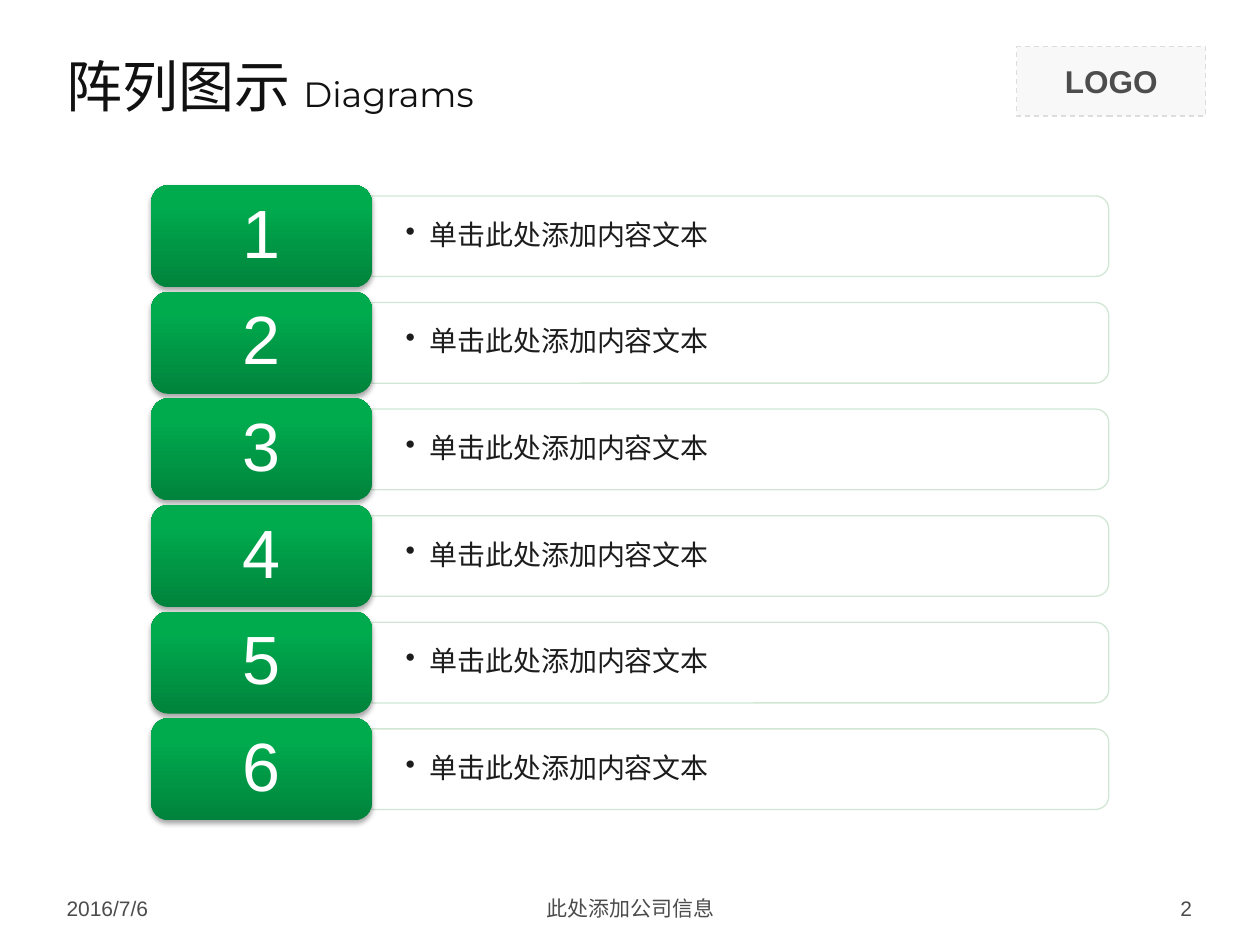
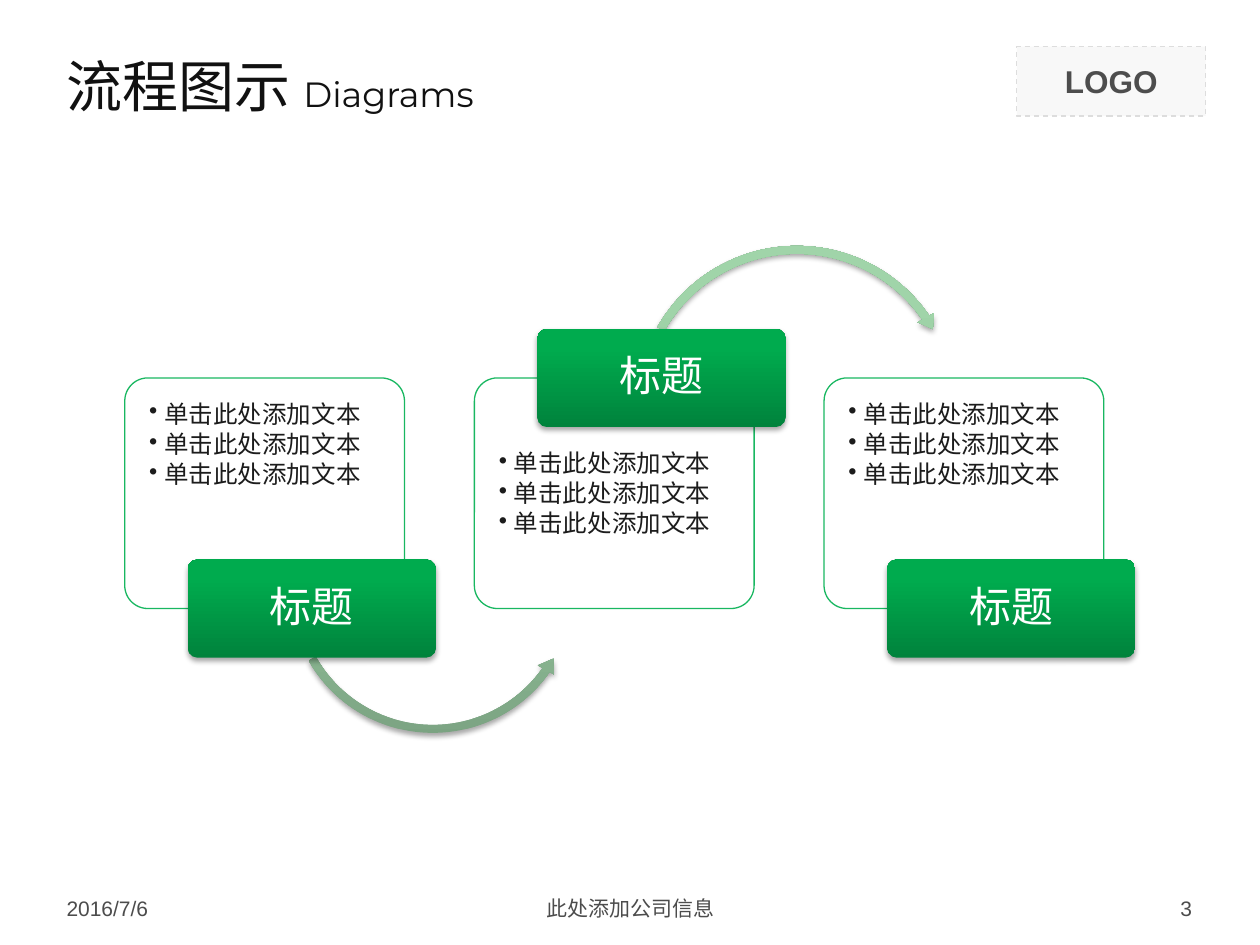
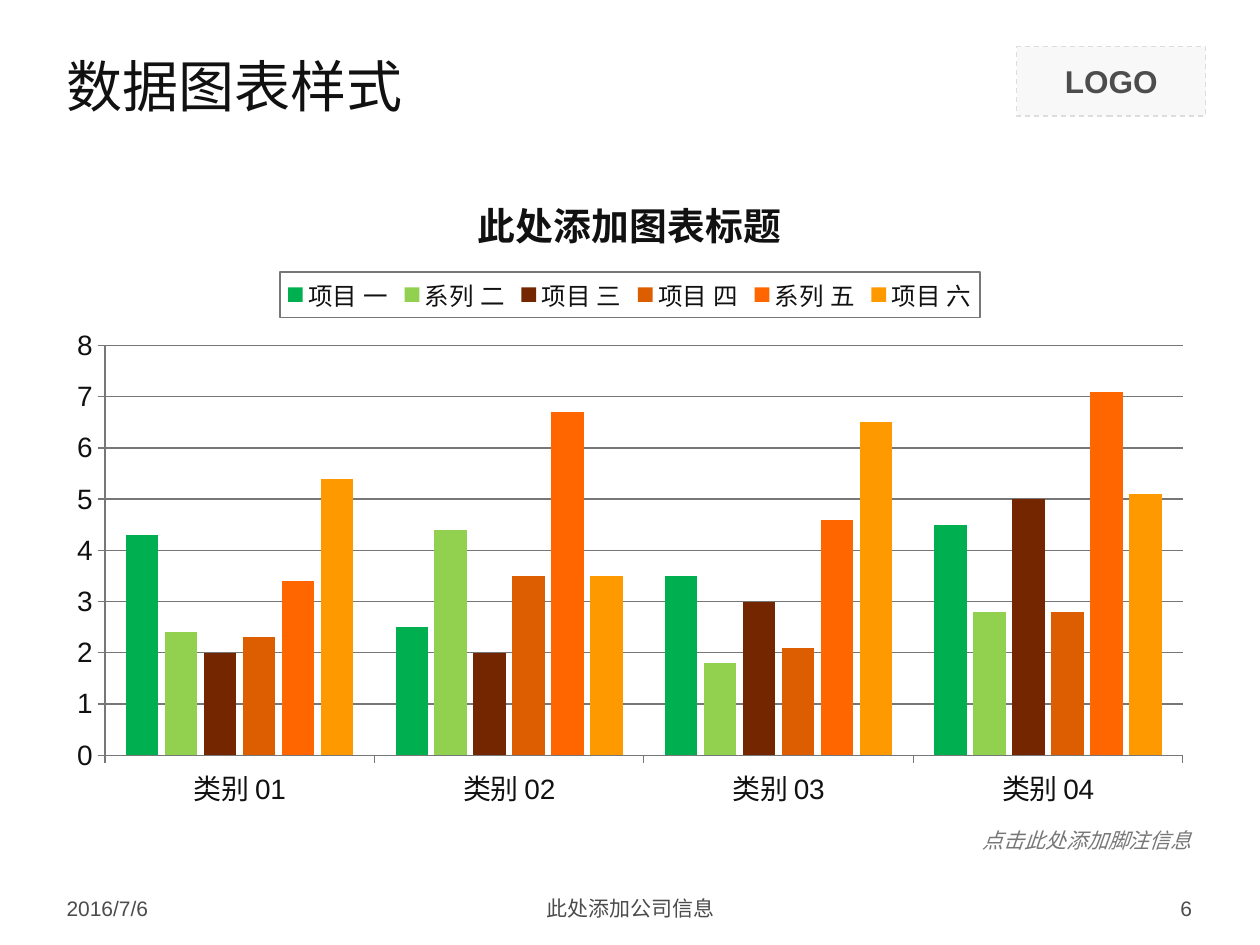
from lxml.etree import SubElement
from pptx import Presentation
from pptx.chart.data import CategoryChartData
from pptx.dml.color import RGBColor
from pptx.enum.chart import XL_CHART_TYPE, XL_LEGEND_POSITION, XL_TICK_MARK
from pptx.enum.dml import MSO_LINE
from pptx.enum.shapes import MSO_SHAPE
from pptx.enum.text import MSO_ANCHOR, PP_ALIGN
from pptx.oxml import parse_xml
from pptx.oxml.ns import nsdecls, qn
from pptx.util import Inches, Pt

FONT = "Arial"
TITLE_FONT = "Montserrat"
INK = "111111"
BODY = "1C1C1C"
FOOTER = "4C4C4C"
GRAY = "777777"
WHITE = "FFFFFF"
GREEN = "00B050"
BADGE_GRADIENT = ((0, "00833C"), (80, "00AB4E"), (100, "00AB4E"))
ARROW_GRADIENT = ((0, "7BA382"), (80, "A0D4A9"), (100, "A0D6AA"))
MARGIN = 0.43
CONTENT_W = 9.14
DEFAULT_INSETS = (0.1, 0.05, 0.1, 0.05)


def rgb(value):
    return RGBColor.from_string(value)


def box(x, y, w, h):
    return [Inches(v) for v in (x, y, w, h)]


def add_run(p, text, size, color, font=FONT, bold=False, italic=False):
    r = p.add_run()
    r.text = text
    r.font.size = Pt(size)
    r.font.name = font
    r.font.color.rgb = rgb(color)
    r.font.bold = bold
    r.font.italic = italic


def frame(sp, insets=DEFAULT_INSETS, anchor=MSO_ANCHOR.MIDDLE):
    tf = sp.text_frame
    tf.word_wrap = True
    tf.vertical_anchor = anchor
    tf.margin_left, tf.margin_top, tf.margin_right, tf.margin_bottom = map(Inches, insets)
    return tf


def add_text(s, at, text, size, color, align=PP_ALIGN.LEFT, **style):
    tf = frame(s.shapes.add_textbox(*box(*at)))
    p = tf.paragraphs[0]
    p.alignment = align
    add_run(p, text, size, color, **style)
    return tf


def space_lines(p, after):
    p.line_spacing = 0.9
    spacing = SubElement(p._p.get_or_add_pPr(), qn("a:spcAft"))
    SubElement(spacing, qn("a:spcPct")).set("val", str(after * 1000))


def add_bullets(tf, lines, size, indent):
    for i, line in enumerate(lines):
        p = tf.add_paragraph() if i else tf.paragraphs[0]
        p.alignment = PP_ALIGN.LEFT
        space_lines(p, 15)
        pPr = p._p.get_or_add_pPr()
        pPr.set("marL", str(Inches(indent)))
        pPr.set("indent", str(-Inches(indent)))
        SubElement(pPr, qn("a:buChar")).set("char", "•")
        add_run(p, line, size, BODY)


def add_plain(s, kind, at, fill, line):
    sp = s.shapes.add_shape(kind, *box(*at))
    sp.shadow.inherit = False
    sp.fill.solid()
    sp.fill.fore_color.rgb = rgb(fill)
    sp.line.color.rgb = rgb(line)
    sp.line.width = Pt(0.75)
    return sp


def set_alpha(sp, percent):
    for color in sp._element.spPr.iter(qn("a:srgbClr")):
        SubElement(color, qn("a:alpha")).set("val", str(percent * 1000))


def add_raised(s, kind, at, gradient):
    sp = s.shapes.add_shape(kind, *box(*at))
    sp.line.fill.background()
    sp.shadow.inherit = False
    stops = "".join(
        f'<a:gs pos="{pos * 1000}"><a:srgbClr val="{color}"/></a:gs>' for pos, color in gradient
    )
    spPr = sp._element.spPr
    spPr.find(qn("a:prstGeom")).addnext(parse_xml(
        f'<a:gradFill {nsdecls("a")} rotWithShape="1"><a:gsLst>{stops}</a:gsLst>'
        '<a:lin ang="16200000" scaled="0"/></a:gradFill>'))
    spPr.find(qn("a:effectLst")).append(parse_xml(
        f'<a:outerShdw {nsdecls("a")} blurRad="{Pt(3.1)}" dist="{Pt(1.8)}" dir="5400000"'
        ' rotWithShape="0"><a:srgbClr val="000000"><a:alpha val="35000"/></a:srgbClr>'
        '</a:outerShdw>'))
    return sp


def add_badge(s, at, text, size, insets):
    sp = add_raised(s, MSO_SHAPE.ROUNDED_RECTANGLE, at, BADGE_GRADIENT)
    p = frame(sp, insets).paragraphs[0]
    p.alignment = PP_ALIGN.CENTER
    space_lines(p, 35)
    add_run(p, text, size, WHITE)
    return sp


def add_arc_arrow(s, kind, at, thickness, head_angle, end, start, head):
    sp = add_raised(s, kind, at, ARROW_GRADIENT)
    values = (thickness / 100, head_angle * 0.6, end * 0.6, start * 0.6, head / 100)
    for i, value in enumerate(values):
        sp.adjustments[i] = value


def add_base(prs, title, number, subtitle=None):
    s = prs.slides.add_slide(prs.slide_layouts[6])
    logo = add_plain(s, MSO_SHAPE.RECTANGLE, (8.07, 0.37, 1.5, 0.55), "F8F8F8", "DDDDDD")
    logo.line.dash_style = MSO_LINE.DASH
    p = frame(logo).paragraphs[0]
    p.alignment = PP_ALIGN.CENTER
    add_run(p, "LOGO", 18, "4D4D4D", bold=True)
    heading = title + " " if subtitle else title
    tf = add_text(s, (MARGIN, 0.28, CONTENT_W, 0.79), heading, 32, INK, font=TITLE_FONT)
    if subtitle:
        add_run(tf.paragraphs[0], subtitle, 20, INK, font=TITLE_FONT)
    for x, w, text, align in (
        (MARGIN, 2.33, "2016/7/6", PP_ALIGN.LEFT),
        (3.42, 3.17, "此处添加公司信息", PP_ALIGN.CENTER),
        (7.23, 2.33, str(number), PP_ALIGN.RIGHT),
    ):
        add_text(s, (x, 7.06, w, 0.29), text, 12, FOOTER, align)
    return s


def add_list_row(s, y, number):
    badge_x, badge_w, badge_h = 1.2, 1.75, 0.81
    bar_w, bar_h = 5.85, 0.64
    bar_x = badge_x + badge_w
    mid_y = y + badge_h / 2
    at = (bar_x + (bar_w - bar_h) / 2, mid_y - bar_w / 2, bar_h, bar_w)
    bar = add_plain(s, MSO_SHAPE.ROUND_2_SAME_RECTANGLE, at, WHITE, "CCE4D0")
    bar.rotation = 90
    set_alpha(bar, 90)
    text = s.shapes.add_textbox(*box(bar_x, mid_y - 0.29, 5.82, 0.58))
    tf = frame(text, (0.27, 0.14, 0.27, 0.14))
    add_bullets(tf, ["单击此处添加内容文本"], 16, 0.19)
    add_badge(s, (badge_x, y, badge_w, badge_h), str(number), 39, (0.16, 0.08, 0.16, 0.08))


def build_list(prs):
    s = add_base(prs, "阵列图示", 2, "Diagrams")
    count, first_y, last_y = 6, 1.47, 5.7
    for i in range(count):
        add_list_row(s, first_y + i * (last_y - first_y) / (count - 1), i + 1)


def add_step(s, x, heading_on_top, arrow):
    y, w, h = 3, 2.22, 1.83
    heading_w, heading_h = 1.97, 0.78
    card = add_plain(s, MSO_SHAPE.ROUNDED_RECTANGLE, (x, y, w, h), WHITE, WHITE)
    set_alpha(card, 90)
    card.line.color.rgb = rgb(GREEN)
    card.adjustments[0] = 0.1
    top = 0.14 + (heading_h / 2 if heading_on_top else 0)
    tf = frame(card, (0.14, top, 0.14, 0.14), MSO_ANCHOR.TOP)
    add_bullets(tf, ["单击此处添加文本"] * 3, 14, 0.12)
    if arrow:
        add_arc_arrow(s, *arrow)
    edge = y if heading_on_top else y + h
    at = (x + 0.5, edge - heading_h / 2, heading_w, heading_h)
    heading = add_badge(s, at, "标题", 24, (0.05, 0.03, 0.05, 0.03))
    heading.adjustments[0] = 0.1


def build_process(prs):
    s = add_base(prs, "流程图示", 3, "Diagrams")
    first_x, last_x = 0.99, 6.54
    arrows = (
        (MSO_SHAPE.LEFT_CIRCULAR_ARROW, (2.26, 3.51, 2.35, 2.35), 2.7, 5.55, 35.14, 150.41, 3.2),
        (MSO_SHAPE.CIRCULAR_ARROW, (5.01, 1.91, 2.63, 2.63), 2.4, 4.91, 325.5, 209.59, 2.8),
        None,
    )
    for i, arrow in enumerate(arrows):
        add_step(s, first_x + i * (last_x - first_x) / 2, i == 1, arrow)


def style_line(line):
    line.color.rgb = rgb(GRAY)
    line.width = Pt(0.75)


def style_font(font, size):
    font.name = FONT
    font.size = Pt(size)
    font.color.rgb = rgb(INK)


def add_column_chart(s, at, title, categories, series):
    data = CategoryChartData()
    data.categories = categories
    for name, _, values in series:
        data.add_series(name, values)
    chart = s.shapes.add_chart(XL_CHART_TYPE.COLUMN_CLUSTERED, *box(*at), data).chart
    style_font(chart.font, 18)
    chart.has_title = True
    add_run(chart.chart_title.text_frame.paragraphs[0], title, 21.6, INK, bold=True)
    chart.chart_title.include_in_layout = False

    chart.has_legend = True
    legend = chart.legend
    legend.position = XL_LEGEND_POSITION.TOP
    legend.include_in_layout = False
    style_font(legend.font, 14)
    legend._element.find(qn("c:overlay")).addnext(parse_xml(
        f'<c:spPr {nsdecls("c", "a")}><a:ln w="{Pt(0.75)}"><a:solidFill>'
        f'<a:srgbClr val="{GRAY}"/></a:solidFill></a:ln></c:spPr>'))

    for axis in (chart.category_axis, chart.value_axis):
        axis.major_tick_mark = XL_TICK_MARK.OUTSIDE
        axis.minor_tick_mark = XL_TICK_MARK.NONE
        style_font(axis.tick_labels.font, 16)
        style_line(axis.format.line)
    axis = chart.value_axis
    axis.minimum_scale, axis.maximum_scale, axis.major_unit = 0, 8, 1
    axis.has_major_gridlines = True
    style_line(axis.major_gridlines.format.line)

    plot = chart.plots[0]
    plot.gap_width = 130
    plot.overlap = -20
    plot.vary_by_categories = False
    for item, (_, color, _) in zip(plot.series, series):
        item.format.fill.solid()
        item.format.fill.fore_color.rgb = rgb(color)


def build_chart(prs):
    s = add_base(prs, "数据图表样式", 6)
    series = (
        ("项目 一", GREEN, (4.3, 2.5, 3.5, 4.5)),
        ("系列 二", "92D050", (2.4, 4.4, 1.8, 2.8)),
        ("项目 三", "742600", (2, 2, 3, 5)),
        ("项目 四", "DC5E01", (2.3, 3.5, 2.1, 2.8)),
        ("系列 五", "FF6600", (3.4, 6.7, 4.6, 7.1)),
        ("项目 六", "FF9900", (5.4, 3.5, 6.5, 5.1)),
    )
    categories = [f"类别 {i:02}" for i in range(1, 5)]
    add_column_chart(s, (MARGIN, 1.31, CONTENT_W, 5.2), "此处添加图表标题", categories, series)
    note = add_text(s, (7.68, 6.52, 1.88, 0.3), "点击此处添加脚注信息", 12, GRAY,
                    PP_ALIGN.RIGHT, italic=True)
    note.word_wrap = False


def main():
    prs = Presentation()
    prs.slide_width = Inches(10)
    prs.slide_height = Inches(7.5)
    build_list(prs)
    build_process(prs)
    build_chart(prs)
    prs.save("out.pptx")


if __name__ == "__main__":
    main()
